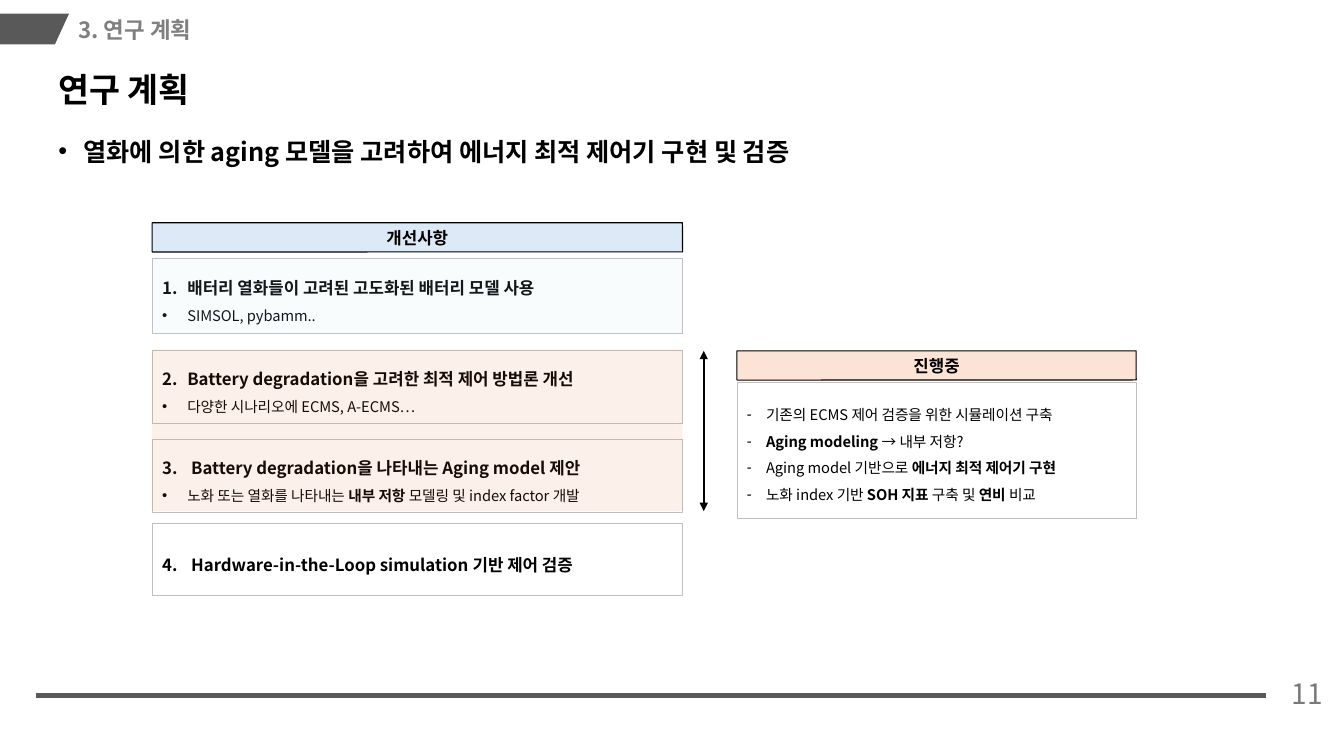
"""Build the research plan slide with its improvement cards and progress panel."""
from dataclasses import dataclass

from lxml.etree import SubElement
from pptx import Presentation
from pptx.dml.color import RGBColor
from pptx.enum.shapes import MSO_CONNECTOR as Connector, MSO_SHAPE as Shape
from pptx.enum.text import MSO_ANCHOR as Anchor, PP_ALIGN as Align
from pptx.oxml.ns import qn
from pptx.util import Inches, Pt


@dataclass(frozen=True)
class Theme:
    font: str = "Noto Sans CJK KR"
    ink: str = "000000"
    paper: str = "FFFFFF"
    dark: str = "595959"
    section: str = "808080"
    number: str = "797979"
    border: str = "BFBFBF"
    blue_header: str = "DCEAF7"
    orange_header: str = "FBE3D6"
    blue_tint: str = "C1E5F5"
    orange_tint: str = "E97132"
    title_size: float = 24
    number_size: float = 20
    lead_size: float = 18
    section_size: float = 16
    heading_size: float = 12
    detail_size: float = 10.5


class SlideBuilder:
    """Places styled elements on a grid of tenth-inch columns and rows."""

    def __init__(self, presentation, theme):
        self.theme = theme
        self.cell = Inches(0.1)
        self.slide = presentation.slides.add_slide(presentation.slide_layouts[6])

    def grid(self, *cells):
        return [round(cell * self.cell) for cell in cells]

    def fill_paragraph(self, paragraph, text, size, color=None, bold=False, align=None,
                       spacing=None, bullet=None, start=None, indent=0.25):
        properties = paragraph._p.get_or_add_pPr()
        if bullet or start:
            properties.set("marL", str(Inches(indent)))
            properties.set("indent", str(-Inches(indent)))
        if bullet:
            SubElement(properties, qn("a:buFont"), typeface="Arial")
            SubElement(properties, qn("a:buChar"), char=bullet)
        elif start:
            SubElement(properties, qn("a:buAutoNum"), type="arabicPeriod", startAt=str(start))
        paragraph.alignment = align
        paragraph.line_spacing = spacing
        font = paragraph.font
        font.size, font.name, font.bold = Pt(size), self.theme.font, bold
        font.color.rgb = RGBColor.from_string(color or self.theme.ink)
        SubElement(properties.find(qn("a:defRPr")), qn("a:ea"), typeface=self.theme.font)
        for index, part in enumerate(text.split("**")):
            if part:
                run = paragraph.add_run()
                run.text = part
                if index % 2:
                    run.font.bold = True

    def text(self, box, text, size, anchor=Anchor.MIDDLE, **style):
        frame = self.slide.shapes.add_textbox(*self.grid(*box)).text_frame
        frame.word_wrap = True
        frame.vertical_anchor = anchor
        self.fill_paragraph(frame.paragraphs[0], text, size, **style)

    def paint(self, shape, fill, line=None, width=0.5):
        shape.shadow.inherit = False
        shape.fill.solid()
        shape.fill.fore_color.rgb = RGBColor.from_string(fill)
        if line:
            shape.line.color.rgb = RGBColor.from_string(line)
            shape.line.width = Pt(width)
        else:
            shape.line.fill.background()

    def header(self, box, text, fill):
        shape = self.slide.shapes.add_shape(Shape.ROUNDED_RECTANGLE, *self.grid(*box))
        shape.adjustments[0] = 0.01
        self.paint(shape, fill, self.theme.ink, 0.75)
        frame = shape.text_frame
        frame.margin_left = frame.margin_right = frame.margin_top = frame.margin_bottom = 0
        frame.vertical_anchor = Anchor.MIDDLE
        self.fill_paragraph(frame.paragraphs[0], text, self.theme.heading_size, bold=True,
                            align=Align.CENTER)

    def card(self, box, lines):
        shape = self.slide.shapes.add_shape(Shape.RECTANGLE, *self.grid(*box))
        self.paint(shape, self.theme.paper, self.theme.border)
        frame = shape.text_frame
        frame.word_wrap = True
        frame.vertical_anchor = Anchor.MIDDLE
        for index, (text, style) in enumerate(lines):
            paragraph = frame.add_paragraph() if index else frame.paragraphs[0]
            self.fill_paragraph(paragraph, text, align=Align.JUSTIFY, spacing=1.5, **style)

    def tint(self, box, color, percent=10):
        shape = self.slide.shapes.add_shape(Shape.RECTANGLE, *self.grid(*box))
        self.paint(shape, color)
        color_element = shape._element.spPr.find(qn("a:solidFill"))[0]
        SubElement(color_element, qn("a:alpha"), val=str(percent * 1000))

    def line(self, begin, end, color, width, arrows=False):
        connector = self.slide.shapes.add_connector(
            Connector.STRAIGHT, *self.grid(*begin, *end))
        connector.line.color.rgb = RGBColor.from_string(color)
        connector.line.width = Pt(width)
        if arrows:
            outline = connector._element.spPr.find(qn("a:ln"))
            for tag in ("a:headEnd", "a:tailEnd"):
                SubElement(outline, qn(tag), type="triangle")
        SubElement(connector._element.spPr, qn("a:effectLst"))

    def outline(self, points, fill):
        start, *rest = [self.grid(*point) for point in points]
        freeform = self.slide.shapes.build_freeform(*start)
        freeform.add_line_segments(rest, close=True)
        self.paint(freeform.convert_to_shape(), fill)


def main():
    theme = Theme()
    presentation = Presentation()
    presentation.slide_width, presentation.slide_height = Inches(13.33), Inches(7.5)
    builder = SlideBuilder(presentation, theme)

    builder.outline([(0, 1.35), (6.85, 1.35), (5.45, 4.4), (0, 4.4)], theme.dark)
    builder.line((3.6, 69), (125.6, 69), theme.dark, 3)
    builder.text((4.8, 5.8, 123.8, 6.5), "연구 계획", theme.title_size, bold=True, spacing=0.9)
    builder.text((4.8, 12.4, 123.8, 56.8),
                 "열화에 의한 aging 모델을 고려하여 에너지 최적 제어기 구현 및 검증",
                 theme.lead_size, Anchor.TOP, bold=True, spacing=1.2, bullet="•")
    builder.text((124.9, 65.9, 7.3, 5.7), "11", theme.number_size,
                 color=theme.number, align=Align.RIGHT)
    builder.text((6.8, 1.4, 125.4, 3), "3. 연구 계획", theme.section_size, Anchor.TOP,
                 color=theme.section, bold=True, spacing=0.9)

    left, width = 15.1, 52.6
    cards = [
        (25.6, 7.5, "배터리 열화들이 고려된 고도화된 배터리 모델 사용", "SIMSOL, pybamm.."),
        (34.8, 7.2, "Battery degradation을 고려한 최적 제어 방법론 개선",
         "다양한 시나리오에 ECMS, A-ECMS…"),
        (43.6, 7.2, " Battery degradation을 나타내는 Aging model 제안",
         "노화 또는 열화를 나타내는 **내부 저항 **모델링 및 index factor 개발"),
        (51.9, 7.2, " Hardware-in-the-Loop simulation 기반 제어 검증", None),
    ]
    builder.header((left, 22.1, width, 2.9), "개선사항", theme.blue_header)
    for number, (top, height, heading, detail) in enumerate(cards, 1):
        lines = [(heading, dict(size=theme.heading_size, bold=True, start=number))]
        if detail:
            lines.append((detail, dict(size=theme.detail_size, bullet="•")))
        builder.card((left, top, width, height), lines)
    builder.tint((left, 25.7, width, 7.4), theme.blue_tint)
    builder.tint((left, 34.7, width, 16), theme.orange_tint)

    builder.line((69.8, 50.7), (69.8, 34.8), theme.ink, 1.5, arrows=True)
    progress = [
        "기존의 ECMS 제어 검증을 위한 시뮬레이션 구축",
        "**Aging modeling **→ 내부 저항?",
        "Aging model 기반으로 **에너지 최적 제어기 구현**",
        "노화 index 기반 **SOH 지표 **구축 및 **연비** 비교",
    ]
    dash = dict(size=theme.detail_size, bullet="-", indent=0.19)
    builder.card((73.1, 37.9, 39.6, 13.5), [(text, dash) for text in progress])
    builder.header((73.1, 34.8, 39.6, 2.9), "진행중", theme.orange_header)

    presentation.save("out.pptx")


if __name__ == "__main__":
    main()
